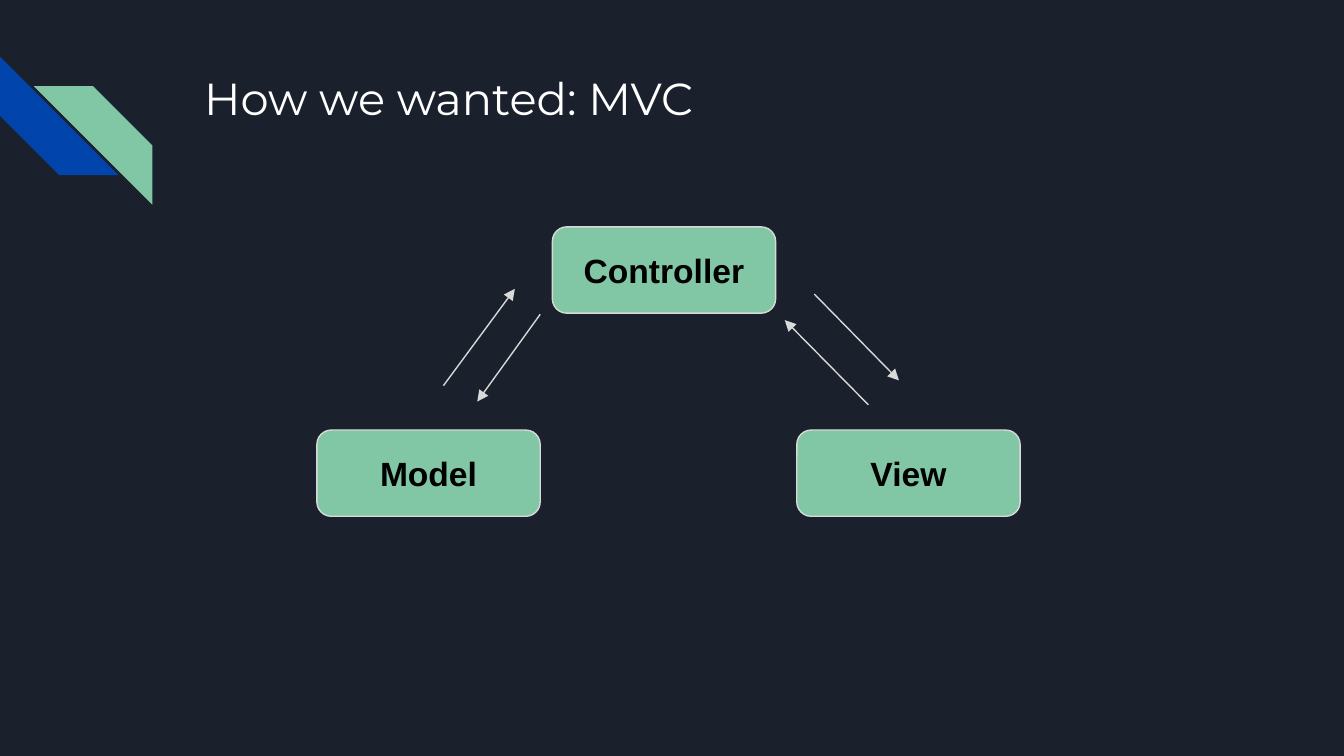
from lxml.etree import SubElement
from pptx import Presentation
from pptx.dml.color import RGBColor
from pptx.enum.shapes import MSO_CONNECTOR, MSO_SHAPE
from pptx.enum.text import MSO_ANCHOR, MSO_AUTO_SIZE, PP_ALIGN
from pptx.oxml.ns import qn
from pptx.util import Cm, Pt

# Content: all lengths in centimetres
TITLE = "How we wanted: MVC"
TITLE_AREA = (3.61, 1.09, 19.56, 2.54)
BOX_SIZE = (4.22, 1.63)
BOXES = [
    ("Controller", 10.44, 4.29),
    ("Model", 5.99, 8.13),
    ("View", 15.06, 8.13),
]
ARROWS = [  # start x, start y, end x, end y
    (8.38, 7.29, 9.73, 5.46),
    (10.21, 5.94, 9.02, 7.59),
    (15.39, 5.56, 16.99, 7.19),
    (16.41, 7.65, 14.83, 6.05),
]
STRIPE_SIZE = (2.24, 2.24)
STRIPES = [(0, 1.07, 270, "0145AC"), (0.64, 1.63, 90, "82C7A5")]

# Formats
BACKGROUND, GREEN, GREY = "1B212C", "82C7A5", "D9D9D9"
TITLE_FONT = {"name": "Montserrat", "size": Pt(24), "bold": False}
BOX_FONT = {"name": "Arial", "size": Pt(18), "bold": True}
FRAME = {f"margin_{side}": Cm(0.25) for side in ("left", "top", "right", "bottom")}
FRAME |= {"word_wrap": True, "auto_size": MSO_AUTO_SIZE.NONE}


def paint(color_format, color):
    color_format.rgb = RGBColor.from_string(color)


def apply(target, values):
    for name, value in values.items():
        setattr(target, name, value)


def write(shape, text, font, color, align, anchor):
    frame = shape.text_frame
    apply(frame, FRAME | {"vertical_anchor": anchor})
    para = frame.paragraphs[0]
    para.alignment = align
    span = para.add_run()
    span.text = text
    apply(span.font, font)
    paint(span.font.color, color)


def add_filled(page, kind, area, color):
    shape = page.shapes.add_shape(kind, *map(Cm, area))
    shape.shadow.inherit = False
    shape.fill.solid()
    paint(shape.fill.fore_color, color)
    return shape


def outline(shape):
    shape.line.width = Pt(0.75)
    paint(shape.line.color, GREY)


def add_arrow(page, ends):
    arrow = page.shapes.add_connector(MSO_CONNECTOR.STRAIGHT, *map(Cm, ends))
    outline(arrow)
    SubElement(arrow.line._get_or_add_ln(), qn("a:tailEnd"), type="triangle")
    SubElement(arrow._element.spPr, qn("a:effectLst"))


def main():
    deck = Presentation()
    deck.slide_width, deck.slide_height = Cm(25.4), Cm(14.29)
    page = deck.slides.add_slide(deck.slide_layouts[5])
    page.background.fill.solid()
    paint(page.background.fill.fore_color, BACKGROUND)

    # Corner stripes
    for left, top, angle, color in STRIPES:
        stripe = add_filled(page, MSO_SHAPE.DIAGONAL_STRIPE,
                            (left, top, *STRIPE_SIZE), color)
        stripe.rotation = angle
        stripe.line.fill.background()

    # Title
    title = page.shapes.title
    apply(title, dict(zip(("left", "top", "width", "height"), map(Cm, TITLE_AREA))))
    write(title, TITLE, TITLE_FONT, "FFFFFF", PP_ALIGN.LEFT, MSO_ANCHOR.TOP)

    # Component boxes
    for name, left, top in BOXES:
        box = add_filled(page, MSO_SHAPE.ROUNDED_RECTANGLE,
                         (left, top, *BOX_SIZE), GREEN)
        outline(box)
        write(box, name, BOX_FONT, "000000", PP_ALIGN.CENTER, MSO_ANCHOR.MIDDLE)

    # Arrows between the components
    for ends in ARROWS:
        add_arrow(page, ends)

    deck.save("out.pptx")


if __name__ == "__main__":
    main()
